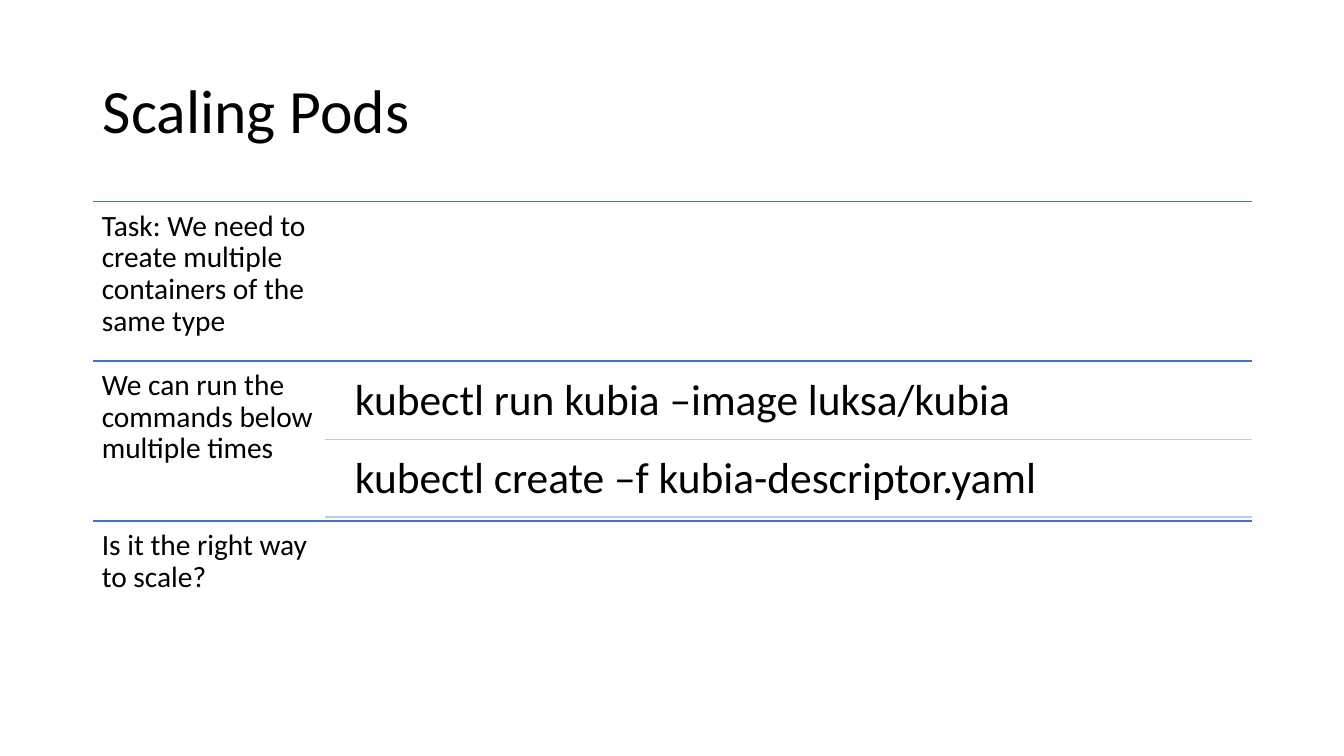
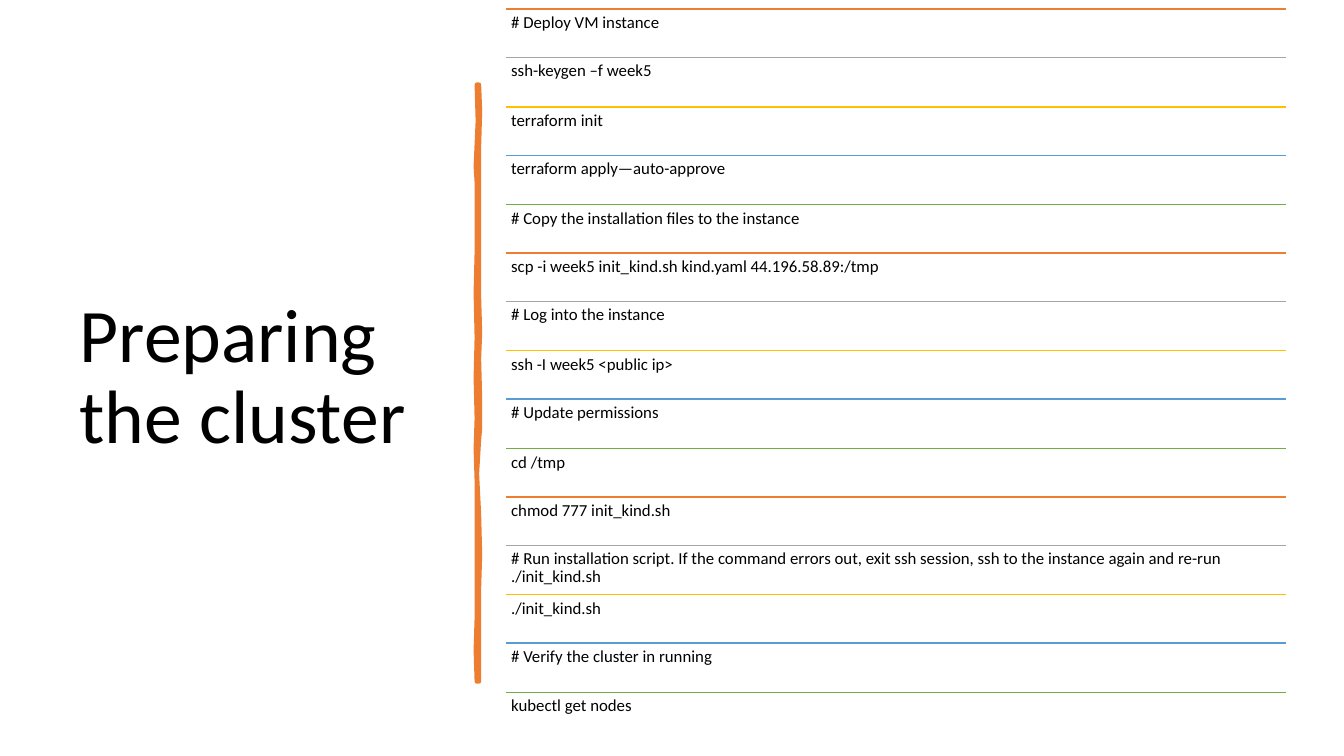
from lxml import etree
from pptx import Presentation, util as u
from pptx.dml.color import RGBColor
from pptx.enum import shapes, text
from pptx.oxml.ns import qn

PX = 9144  # EMU per px, 100 px to the inch
FONT = "Calibri"
COLOURS = {
    "text": "000000", "blue": "4472C4", "pale": "C1C9E4", "orange": "ED7D31",
    "grey": "A5A5A5", "gold": "FFC000", "sky": "5B9BD5", "green": "70AD47",
}


def write(shape, words, size, anchor, inset_x, inset_y):
    """Fill a title or a text box with one left-aligned paragraph."""
    frame = shape.text_frame
    frame.word_wrap = True
    frame.auto_size = text.MSO_AUTO_SIZE.NONE
    frame.vertical_anchor = anchor
    frame.margin_left = frame.margin_right = inset_x * PX
    frame.margin_top = frame.margin_bottom = inset_y * PX
    paragraph = frame.paragraphs[0]
    paragraph.alignment = text.PP_ALIGN.LEFT
    paragraph.line_spacing = 0.9
    run = paragraph.add_run()
    run.text = words
    run.font.name = FONT
    run.font.size = u.Pt(size)
    run.font.color.rgb = RGBColor.from_string(COLOURS["text"])


def rule(slide, left, right, y, colour):
    line = slide.shapes.add_connector(
        shapes.MSO_CONNECTOR.STRAIGHT, left * PX, y * PX, right * PX, y * PX)
    line.line.color.rgb = RGBColor.from_string(COLOURS[colour])
    line.line.width = u.Pt(1)
    etree.SubElement(line._element.spPr, qn("a:effectLst"))


prs = Presentation()
prs.slide_width, prs.slide_height = 1333 * PX, 750 * PX

# Titles
slides = []
for heading, size, box in [
    ("Scaling Pods", 44, (92, 40, 1150, 145)),
    ("Preparing the cluster", 54, (69, 70, 374, 611)),
]:
    slide = prs.slides.add_slide(prs.slide_layouts[5])
    title = slide.shapes.title
    title.left, title.top, title.width, title.height = (n * PX for n in box)
    write(title, heading, size, text.MSO_ANCHOR.MIDDLE, 10, 5)
    slides.append(slide)
scaling, cluster = slides

# Scaling Pods: three ruled rows, the second with two commands
LEFT, RIGHT, STEP_WIDTH = 92, 1242, 230
steps = [
    ("Task: We need to create multiple containers of the same type", []),
    ("We can run the commands below multiple times",
     ["kubectl run kubia –image luksa/kubia",
      "kubectl create –f kubia-descriptor.yaml"]),
    ("Is it the right way to scale?", []),
]
for row, (step, commands) in enumerate(steps):
    top = 200 + row * 317 // 2
    rule(scaling, LEFT, RIGHT, top, "blue")
    label = scaling.shapes.add_textbox(LEFT * PX, top * PX, STEP_WIDTH * PX, 158 * PX)
    write(label, step, 21, text.MSO_ANCHOR.TOP, 9, 9)
    for place, command in enumerate(commands):
        command_top = top + 4 + place * 77
        entry = scaling.shapes.add_textbox(339 * PX, command_top * PX, 903 * PX, 74 * PX)
        write(entry, command, 31, text.MSO_ANCHOR.TOP, 13, 13)
        rule(scaling, LEFT + STEP_WIDTH, RIGHT, command_top + 74, "pale")

# Preparing the cluster: hand-drawn upright stroke beside the title
stroke_right = [
    (475, 84), (476, 110), (475, 146), (475, 226), (475, 294), (476, 330),
    (475, 356), (476, 395), (476, 425), (475, 436), (473, 470), (475, 510),
    (476, 550), (475, 584), (475, 676),
]
stroke_left = [
    (473, 676), (472, 645), (473, 613), (473, 557), (473, 477), (472, 445),
    (473, 415), (472, 375), (473, 335), (472, 290), (473, 250), (473, 181),
    (472, 165), (474, 120), (473, 84),
]
outline = cluster.shapes.build_freeform(*stroke_right[0], scale=float(PX))
outline.add_line_segments(stroke_right[1:] + stroke_left, close=True)
stroke = outline.convert_to_shape()
stroke.shadow.inherit = False
stroke.fill.solid()
stroke.fill.fore_color.rgb = RGBColor.from_string(COLOURS["orange"])
stroke.line.color.rgb = RGBColor.from_string(COLOURS["orange"])
stroke.line.width = u.Pt(3.25)
etree.SubElement(stroke.line._get_or_add_ln(), qn("a:round"))

# Preparing the cluster: ruled command list in five repeating colours
LIST_LEFT, LIST_RIGHT = 502, 1275
rule_colours = ["orange", "grey", "gold", "sky", "green"]
commands = [
    "# Deploy VM instance",
    "ssh-keygen –f week5",
    "terraform init",
    "terraform apply—auto-approve",
    "# Copy the installation files to the instance",
    "scp -i week5 init_kind.sh kind.yaml 44.196.58.89:/tmp",
    "# Log into the instance",
    "ssh -I week5 <public ip>",
    "# Update permissions",
    "cd /tmp",
    "chmod 777 init_kind.sh",
    "# Run installation script. If the command errors out, exit ssh session, "
    "ssh to the instance again and re-run ./init_kind.sh",
    "./init_kind.sh",
    "# Verify the cluster in running",
    "kubectl get nodes",
]
for row, command in enumerate(commands):
    top = 9 + round(row * 48.4)
    rule(cluster, LIST_LEFT, LIST_RIGHT, top, rule_colours[row % len(rule_colours)])
    entry = cluster.shapes.add_textbox(
        LIST_LEFT * PX, top * PX, (LIST_RIGHT - LIST_LEFT) * PX, 48 * PX)
    write(entry, command, 12, text.MSO_ANCHOR.TOP, 5, 5)

prs.save("out.pptx")
